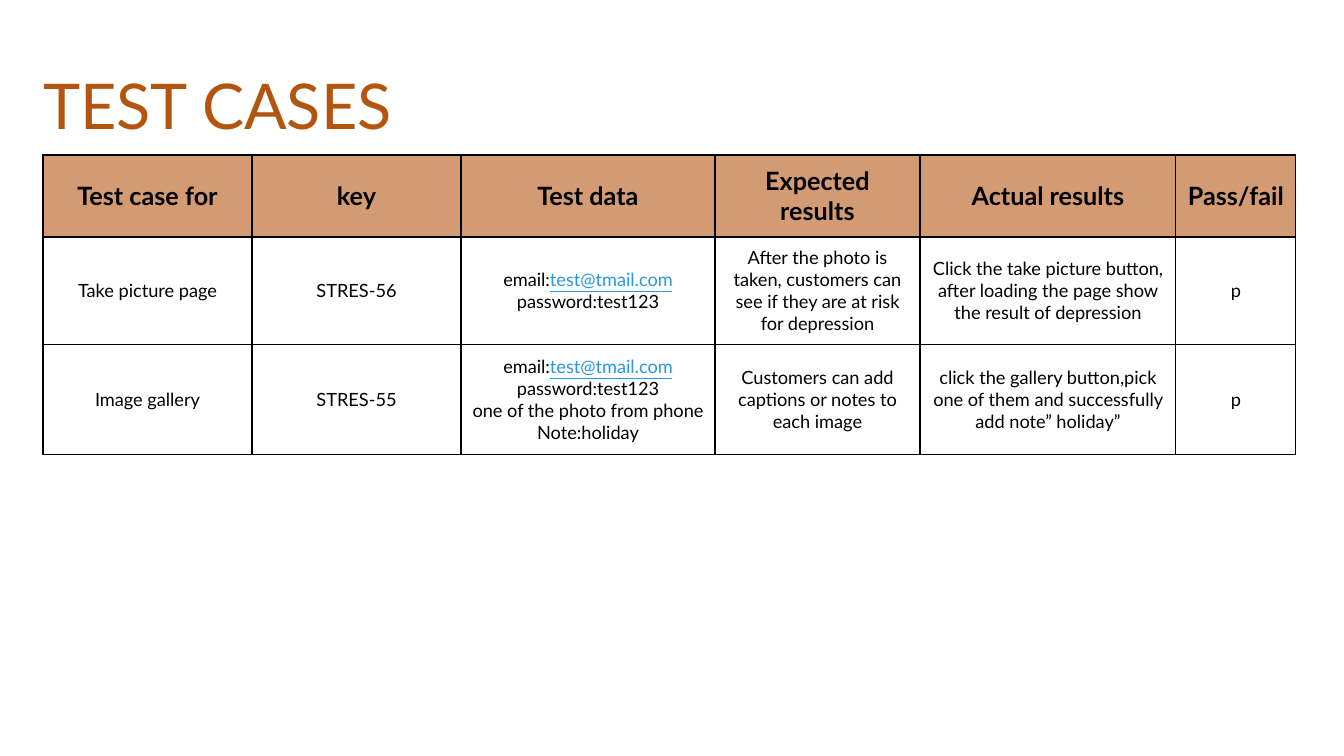
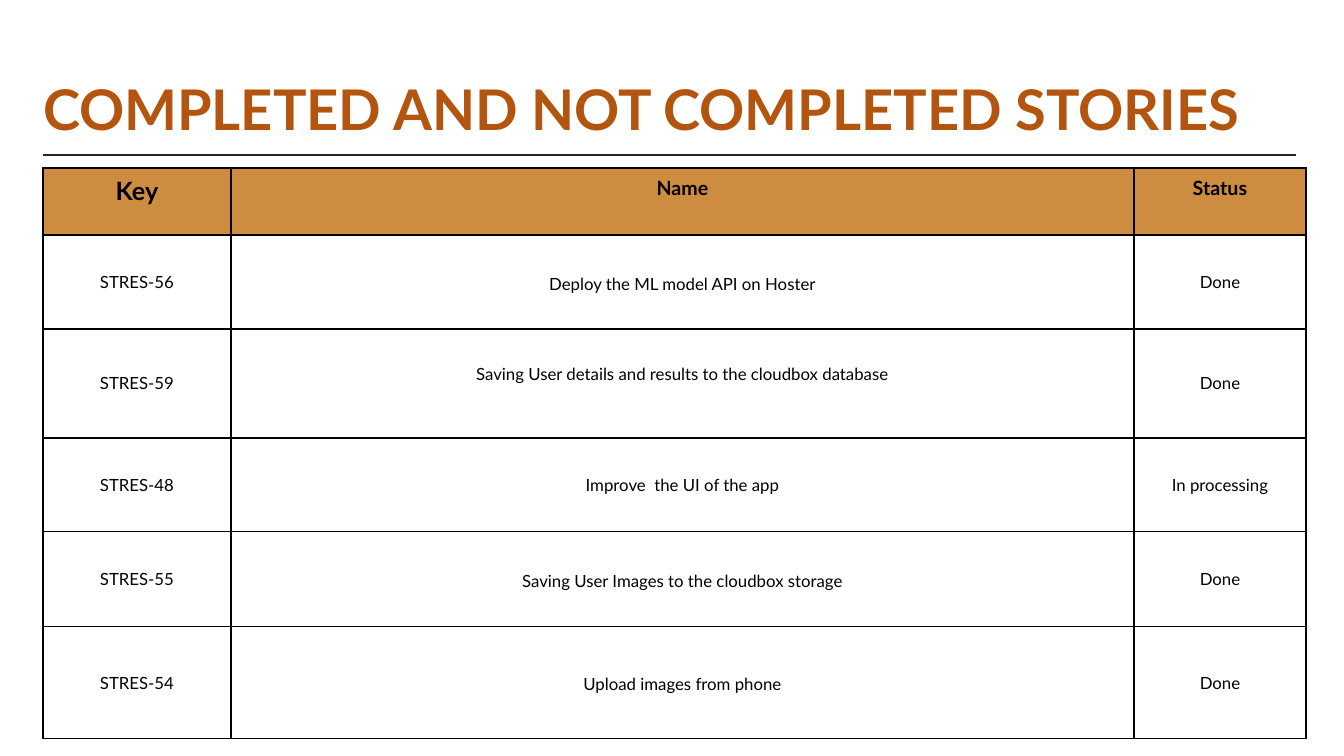
from lxml import etree
from pptx import Presentation
from pptx.dml.color import RGBColor
from pptx.enum.shapes import MSO_CONNECTOR
from pptx.enum.text import MSO_ANCHOR, MSO_AUTO_SIZE, PP_ALIGN
from pptx.oxml import parse_xml
from pptx.oxml.ns import nsdecls, qn
from pptx.util import Emu, Pt

STRAIGHT = MSO_CONNECTOR.STRAIGHT
TOP, MIDDLE, BOTTOM = MSO_ANCHOR.TOP, MSO_ANCHOR.MIDDLE, MSO_ANCHOR.BOTTOM
LEFT, CENTER = PP_ALIGN.LEFT, PP_ALIGN.CENTER

FONT = "Lato"
BLACK = RGBColor(0x00, 0x00, 0x00)
RULE = RGBColor(0x26, 0x26, 0x26)
RUST = RGBColor(0xB3, 0x54, 0x0F)
LINK = RGBColor(0x29, 0x98, 0xE3)
TAN = RGBColor(0xD3, 0x9B, 0x73)
OCHRE = RGBColor(0xCD, 0x8C, 0x3F)

EMAIL = "test@tmail.com"
MARGIN = 43


def px(n):
    return Emu(round(n * 12192000 / 1344))


def style_cell(cell, text, size, bold, fill, anchor, inset):
    tcPr = cell._tc.get_or_add_tcPr()
    for side in ("lnL", "lnR", "lnT", "lnB"):
        tcPr.append(parse_xml(
            f'<a:{side} {nsdecls("a")} w="12700"><a:solidFill>'
            f'<a:srgbClr val="{BLACK}"/></a:solidFill></a:{side}>'))
    if fill is None:
        cell.fill.background()
    else:
        cell.fill.solid()
        cell.fill.fore_color.rgb = fill
    cell.vertical_anchor = anchor
    cell.margin_left = cell.margin_right = px(inset)
    cell.margin_top = cell.margin_bottom = px(inset)
    tf = cell.text_frame
    for i, line in enumerate(text.split("\n")):
        p = tf.add_paragraph() if i else tf.paragraphs[0]
        p.alignment = CENTER
        p.font.name = FONT
        p.font.size = Pt(size)
        p.font.bold = bold
        p.font.color.rgb = BLACK
        for part in line.partition(EMAIL):
            if part:
                r = p.add_run()
                r.text = part
                if part == EMAIL:
                    r.font.color.rgb = LINK
                    r.font.underline = True


test_cases = [
    ("Test case for", "key", "Test data", "Expected results", "Actual results", "Pass/fail"),
    ("Take picture page", "STRES-56", f"email:{EMAIL}\npassword:test123",
     "After the photo is taken, customers can see if they are at risk for depression",
     "Click the take picture button, after loading the page show the result of depression", "p"),
    ("Image gallery", "STRES-55",
     f"email:{EMAIL}\npassword:test123\none of the photo from phone\nNote:holiday",
     "Customers can add captions or notes to each image",
     "click the gallery button,pick one of them and successfully add note” holiday”", "p"),
]
stories = [
    ("Key", "Name", "Status"),
    ("STRES-56", "Deploy the ML model API on Hoster", "Done"),
    ("STRES-59", "Saving User details and results to the cloudbox database", "Done"),
    ("STRES-48", "Improve  the UI of the app", "In processing"),
    ("STRES-55", "Saving User Images to the cloudbox storage", "Done"),
    ("STRES-54", "Upload images from phone", "Done"),
]
pages = [
    dict(title="TEST CASES", title_size=45, title_bold=False, rows=test_cases, top=155,
         widths=(209, 209, 254, 205, 256, 120), heights=(82, 107, 110),
         fill=TAN, head_sizes=(18,) * 6, size=13, head_anchor=MIDDLE, inset=10),
    dict(title="COMPLETED AND NOT COMPLETED STORIES", title_size=40, title_bold=True,
         rows=stories, top=168, widths=(188, 903, 172), heights=(67, 94, 109, 94, 95, 112),
         fill=OCHRE, head_sizes=(18, 14, 14), size=12, head_anchor=TOP, inset=8),
]

prs = Presentation()
prs.slide_width = px(1344)
prs.slide_height = px(756)
tables = []

for page in pages:
    s = prs.slides.add_slide(prs.slide_layouts[5])

    rule = s.shapes.add_connector(STRAIGHT, px(MARGIN), px(155), px(1296), px(155))
    rule.line.color.rgb = RULE
    rule.line.width = Pt(1)
    etree.SubElement(rule._element.spPr, qn("a:effectLst"))

    title = s.shapes.title
    title.left, title.top, title.width, title.height = px(MARGIN), px(37), px(1253), px(111)
    tf = title.text_frame
    tf.text = page["title"]
    tf.word_wrap = True
    tf.auto_size = MSO_AUTO_SIZE.NONE
    tf.vertical_anchor = BOTTOM
    tf.margin_left = tf.margin_right = 0
    tf.margin_top = tf.margin_bottom = px(5)
    p = tf.paragraphs[0]
    p.alignment = LEFT
    p.line_spacing = 0.9
    p.font.name = FONT
    p.font.size = Pt(page["title_size"])
    p.font.bold = page["title_bold"]
    p.font.color.rgb = RUST

    rows, widths, heights = page["rows"], page["widths"], page["heights"]
    table = s.shapes.add_table(len(rows), len(widths), px(MARGIN), px(page["top"]),
                               px(sum(widths)), px(sum(heights))).table
    table.horz_banding = False
    tables.append(table)
    for column, width in zip(table.columns, widths):
        column.width = px(width)
    for i, (row, height) in enumerate(zip(rows, heights)):
        table.rows[i].height = px(height)
        for j, text in enumerate(row):
            head = i == 0
            style_cell(table.cell(i, j), text,
                       page["head_sizes"][j] if head else page["size"], head,
                       page["fill"] if head else None,
                       page["head_anchor"] if head else MIDDLE, page["inset"])

story_table = tables[1]
for i in (1, 2, 4, 5):
    p = story_table.cell(i, 1).text_frame.paragraphs[0]
    p.line_spacing = 1.15
    p.space_before = p.space_after = Pt(12)
story_table.cell(2, 1).margin_bottom = px(30)

prs.save("out.pptx")
